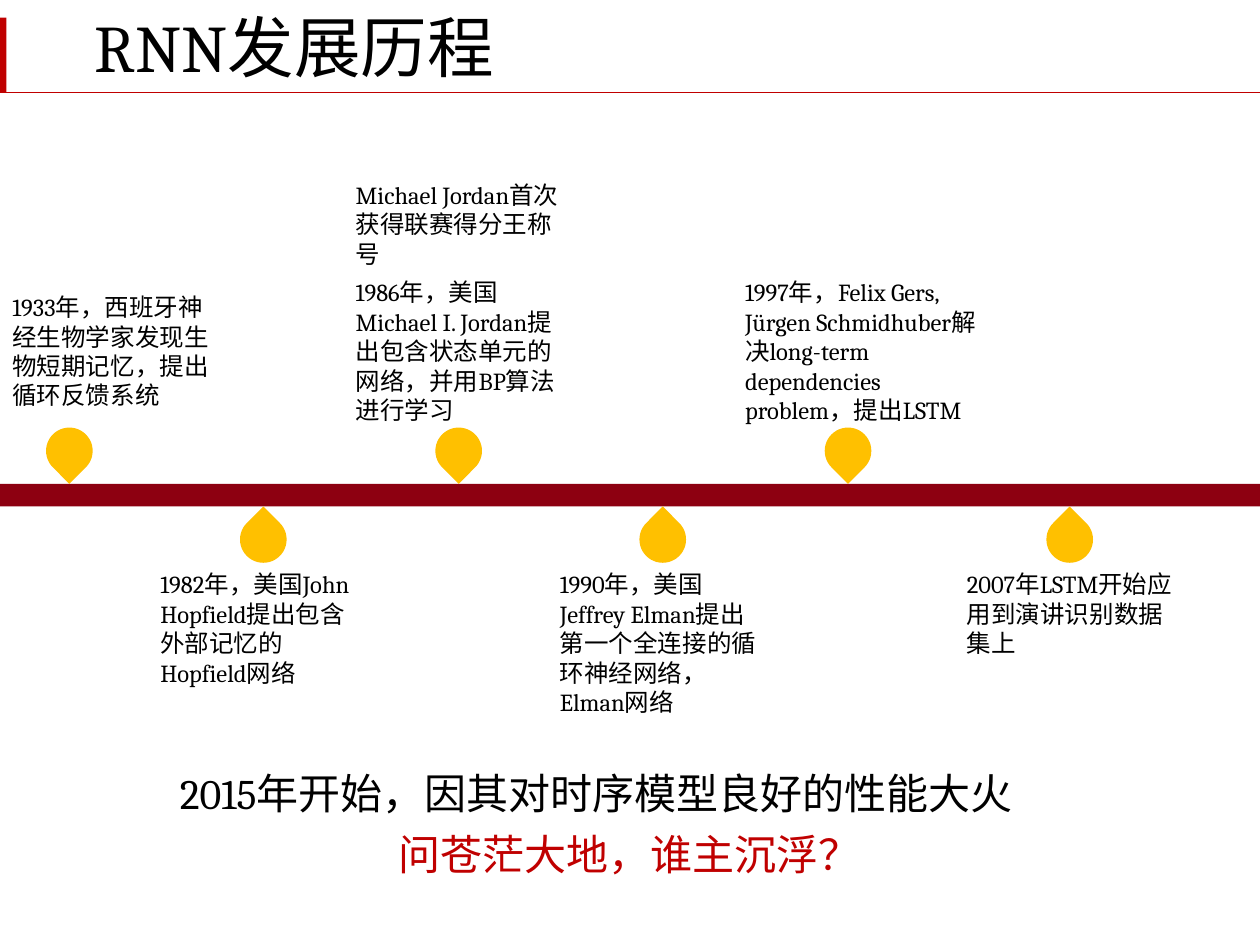
from dataclasses import dataclass

import pptx
import pptx.dml.color
import pptx.enum.shapes
import pptx.enum.text
import pptx.oxml
import pptx.oxml.ns
import pptx.util

Inches = pptx.util.Inches
SHAPE = pptx.enum.shapes.MSO_SHAPE
ALIGN = pptx.enum.text.PP_ALIGN


@dataclass(frozen=True)
class Theme:
    latin: str = "Cambria"
    asian: str = "Noto Sans CJK SC"
    text: str = "000000"
    accent: str = "C00000"
    bar: str = "8D0011"
    pin: str = "FFC000"
    title_size: int = 38
    closing_size: int = 24
    event_size: int = 14


THEME = Theme()
WIDTH, HEIGHT = 10, 7.5
EVENT_WIDTH, WIDE_EVENT_WIDTH = 1.83, 2.1

TITLE = "RNN发展历程"
# Pin centre across the slide, box width, lines of text, text
EVENTS_ABOVE = [
    (0.55, EVENT_WIDTH, 4, "1933年，西班牙神经生物学家发现生物短期记忆，提出循环反馈系统"),
    (3.64, EVENT_WIDTH, 5,
     "1986年，美国Michael I. Jordan提出包含状态单元的网络，并用BP算法进行学习"),
    (6.73, WIDE_EVENT_WIDTH, 5,
     "1997年，Felix Gers, Jürgen Schmidhuber解决long-term dependencies "
     "problem，提出LSTM"),
]
EVENTS_BELOW = [
    (2.09, EVENT_WIDTH, 4, "1982年，美国John Hopfield提出包含外部记忆的Hopfield网络"),
    (5.26, EVENT_WIDTH, 5,
     "1990年，美国Jeffrey Elman提出第一个全连接的循环神经网络，Elman网络"),
    (8.49, EVENT_WIDTH, 3, "2007年LSTM开始应用到演讲识别数据集上"),
]
SIDE_NOTE = (3.64, EVENT_WIDTH, 3, "Michael Jordan首次获得联赛得分王称号")
CLOSING = [
    ("2015年开始，因其对时序模型良好的性能大火", THEME.text, ALIGN.LEFT),
    ("问苍茫大地，谁主沉浮？", THEME.accent, ALIGN.CENTER),
]

HEADER_RULE, HEADER_MARK_TOP = 0.73, 0.14
BAR_TOP, BAR_HEIGHT = 3.84, 0.18
BAR_BOTTOM = BAR_TOP + BAR_HEIGHT
PIN_SIZE = 0.37
PIN_REACH = PIN_SIZE / 2 ** 0.5  # from centre to tip
LINE_HEIGHT, BOX_PADDING = 0.235, 0.1
ABOVE_MIDDLE, BELOW_TOP, NOTE_TOP = 2.79, 4.47, 1.38
CLOSING_LEFT, CLOSING_TOP, CLOSING_STEP = 1.33, 6.04, 0.49


def rgb(value):
    return pptx.dml.color.RGBColor.from_string(value)


def add_block(slide, kind, left, top, width, height, color):
    shape = slide.shapes.add_shape(
        kind, Inches(left), Inches(top), Inches(width), Inches(height))
    shape.shadow.inherit = False
    shape.fill.solid()
    shape.fill.fore_color.rgb = rgb(color)
    shape.line.fill.background()
    return shape


def write(shape, text, size, color=THEME.text, align=ALIGN.LEFT):
    frame = shape.text_frame
    frame.word_wrap = True
    frame.auto_size = pptx.enum.text.MSO_AUTO_SIZE.SHAPE_TO_FIT_TEXT
    frame.vertical_anchor = pptx.enum.text.MSO_ANCHOR.TOP
    paragraph = frame.paragraphs[0]
    paragraph.alignment = align
    run = paragraph.add_run()
    run.text = text
    run.font.size = pptx.util.Pt(size)
    run.font.name = THEME.latin
    run.font.color.rgb = rgb(color)
    asian = pptx.oxml.parse_xml(
        f'<a:ea {pptx.oxml.ns.nsdecls("a")} typeface="{THEME.asian}"/>')
    run.font._element.find(pptx.oxml.ns.qn("a:latin")).addnext(asian)


def add_text(slide, left, top, width, height, *style):
    box = slide.shapes.add_textbox(
        Inches(left), Inches(top), Inches(width), Inches(height))
    write(box, *style)


def event_height(lines):
    return lines * LINE_HEIGHT + BOX_PADDING


def add_event(slide, center, width, lines, text, top):
    """Boxes share one offset from their pin; a wide box grows to the right."""
    left = max(0, center - EVENT_WIDTH / 2)
    add_text(slide, left, top, width, event_height(lines),
             text, THEME.event_size)


def add_pin(slide, center, middle, rotation):
    pin = add_block(slide, SHAPE.TEAR, center - PIN_SIZE / 2,
                    middle - PIN_SIZE / 2, PIN_SIZE, PIN_SIZE, THEME.pin)
    pin.rotation = rotation


def add_header(slide):
    rule = slide.shapes.add_connector(
        pptx.enum.shapes.MSO_CONNECTOR.STRAIGHT,
        0, Inches(HEADER_RULE), Inches(WIDTH), Inches(HEADER_RULE))
    rule.line.color.rgb = rgb(THEME.accent)
    rule.line.width = pptx.util.Pt(0.5)
    rule._element.spPr.append(pptx.oxml.parse_xml(
        f'<a:effectLst {pptx.oxml.ns.nsdecls("a")}/>'))
    add_block(slide, SHAPE.RECTANGLE, 0, HEADER_MARK_TOP, 0.05,
              HEADER_RULE - HEADER_MARK_TOP, THEME.accent)
    title = slide.shapes.title
    title.left, title.top = Inches(0.65), 0
    title.width, title.height = Inches(4), Inches(0.74)
    write(title, TITLE, THEME.title_size)


def add_timeline(slide):
    add_block(slide, SHAPE.RECTANGLE, 0, BAR_TOP, WIDTH, BAR_HEIGHT, THEME.bar)
    for center, width, lines, text in EVENTS_ABOVE:
        add_pin(slide, center, BAR_TOP - PIN_REACH, 135)
        top = ABOVE_MIDDLE - event_height(lines) / 2
        add_event(slide, center, width, lines, text, top)
    for center, width, lines, text in EVENTS_BELOW:
        add_pin(slide, center, BAR_BOTTOM + PIN_REACH, 315)
        add_event(slide, center, width, lines, text, BELOW_TOP)
    add_event(slide, *SIDE_NOTE, NOTE_TOP)


def add_closing(slide):
    for row, (text, color, align) in enumerate(CLOSING):
        add_text(slide, CLOSING_LEFT, CLOSING_TOP + row * CLOSING_STEP,
                 WIDTH - 2 * CLOSING_LEFT, 0.5,
                 text, THEME.closing_size, color, align)


def main():
    presentation = pptx.Presentation()
    presentation.slide_width = Inches(WIDTH)
    presentation.slide_height = Inches(HEIGHT)
    title_only = presentation.slide_layouts.get_by_name("Title Only")
    slide = presentation.slides.add_slide(title_only)
    add_header(slide)
    add_timeline(slide)
    add_closing(slide)
    presentation.save("out.pptx")


if __name__ == "__main__":
    main()
